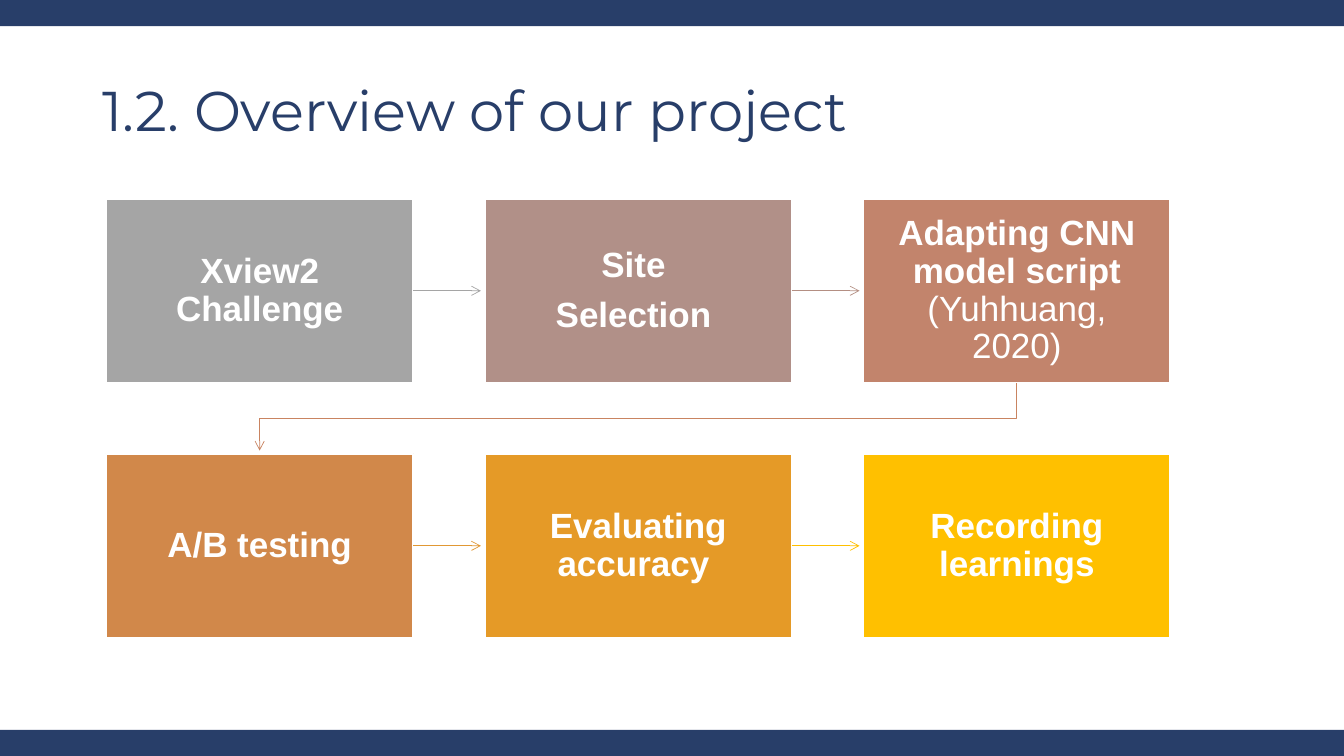
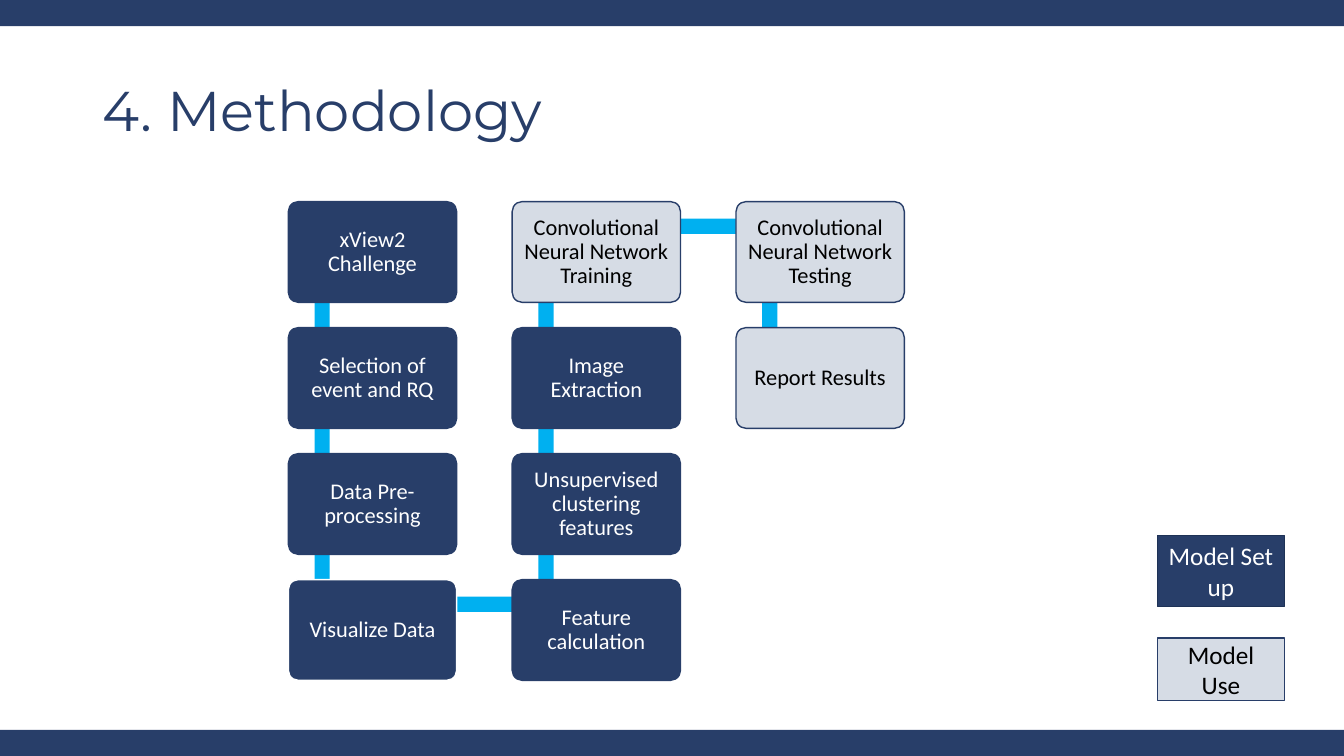
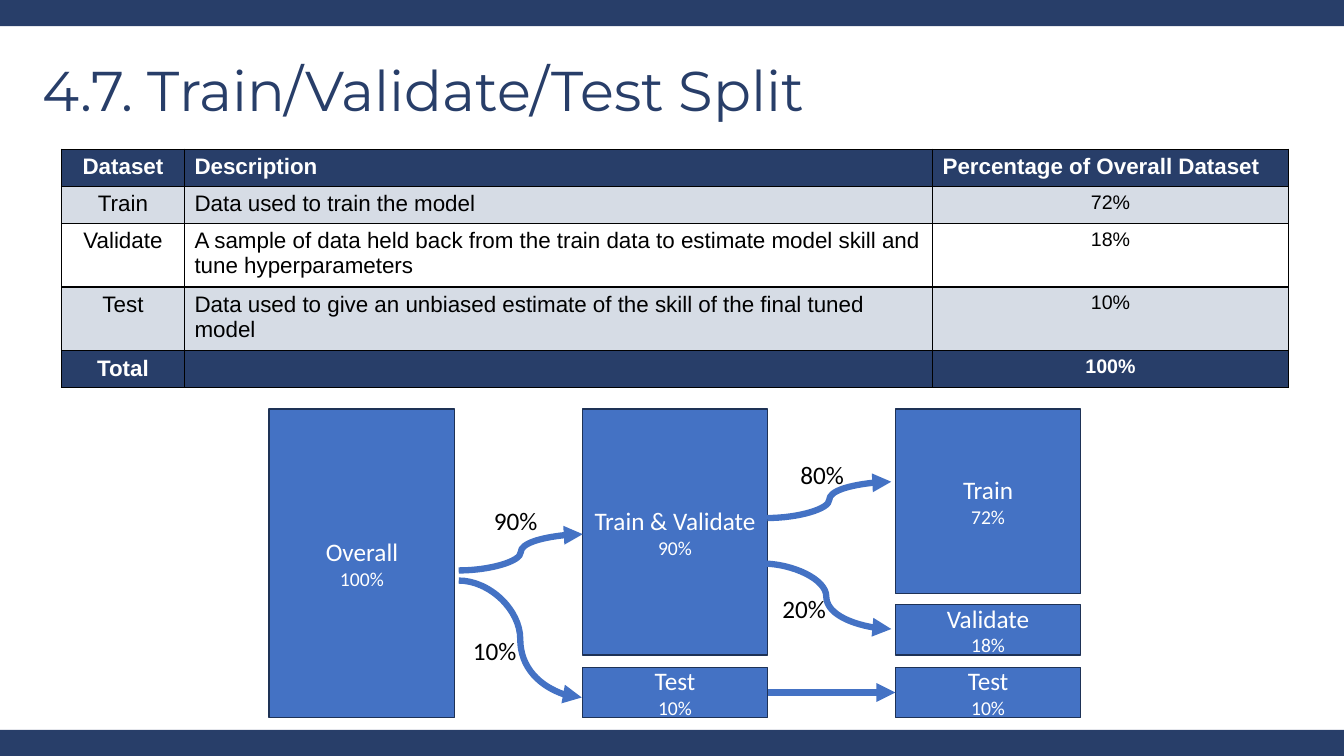
from itertools import pairwise
from lxml.etree import SubElement
from pptx import Presentation
from pptx.dml.color import RGBColor
from pptx.enum.shapes import MSO_CONNECTOR, MSO_SHAPE
from pptx.enum.text import MSO_ANCHOR, PP_ALIGN
from pptx.oxml import parse_xml
from pptx.oxml.ns import nsdecls, qn
from pptx.util import Inches, Pt

HUES = {
    "navy": "283E69", "edge": "1E3256", "pale": "D6DCE5", "sky": "00B0F0",
    "blue": "4472C4", "white": "FFFFFF", "black": "000000",
}
STEPS = ["A5A5A5", "B19088", "C2846C", "D1884A", "E59A27", "FFC000"]
LINKS = ["A5A5A5", "B48F83", "C98461", "E19834", "FFC000"]
WIDE, HIGH, BAND = 13.33, 7.5, 0.26


def tint(name):
    return RGBColor.from_string(HUES.get(name, name))


def write(frame, paras, align=PP_ALIGN.CENTER, space=None, gap=0):
    """Each paragraph is a list of (text, size, font, colour, bold) runs."""
    frame.word_wrap = True
    for i, runs in enumerate(paras):
        para = frame.add_paragraph() if i else frame.paragraphs[0]
        para.alignment = align
        if space:
            para.line_spacing = space
        if i and gap:
            para.space_before = Pt(gap)
        for text, size, font, hue, bold in runs:
            run = para.add_run()
            run.text = text
            run.font.size, run.font.name = Pt(size), font
            run.font.bold = bold
            run.font.color.rgb = tint(hue)


def block(slide, box, fill, line=None, width=1, kind=MSO_SHAPE.RECTANGLE, inset=None):
    shape = slide.shapes.add_shape(kind, *map(Inches, box))
    shape.shadow.inherit = False
    shape.fill.solid()
    shape.fill.fore_color.rgb = tint(fill)
    if line:
        shape.line.color.rgb = tint(line)
        shape.line.width = Pt(width)
    else:
        shape.line.fill.background()
    frame = shape.text_frame
    frame.vertical_anchor = MSO_ANCHOR.MIDDLE
    if inset is not None:
        frame.margin_left = frame.margin_right = Inches(inset)
        frame.margin_top = frame.margin_bottom = Inches(inset)
    return shape


def label(slide, box, runs, **style):
    area = slide.shapes.add_textbox(*map(Inches, box))
    write(area.text_frame, [runs], **style)
    return area


def ink(line, hue, width, head):
    line.color.rgb = tint(hue)
    line.width = Pt(width)
    SubElement(line._get_or_add_ln(), qn("a:tailEnd"), type=head)


def arrow(slide, start, end, hue, width, head, kind=MSO_CONNECTOR.STRAIGHT):
    link = slide.shapes.add_connector(kind, *map(Inches, (*start, *end)))
    SubElement(link._element.spPr, qn("a:effectLst"))
    # The line must come before the effect list
    ink(link.line, hue, width, head)
    return link


def base(deck, title, box):
    slide = deck.slides.add_slide(deck.slide_layouts[6])
    for top in (0, HIGH - BAND):
        block(slide, (0, top, WIDE, BAND), "navy")
    head = label(slide, box, [(title, 40, "Montserrat", "navy", False)],
                 align=PP_ALIGN.LEFT, space=0.9)
    head.text_frame.vertical_anchor = MSO_ANCHOR.MIDDLE
    return slide


# Project flow: two rows of three steps
def flow(slide, x, y, w, h):
    wide, high = 3.05, 1.83
    across, down = (w - wide) / 2, h - high
    texts = [
        [[("Xview2 Challenge", True)]],
        [[("Site ", True)], [("Selection ", True)]],
        [[("Adapting CNN model script ", True), ("(Yuhhuang, 2020)", False)]],
        [[("A/B testing", True)]],
        [[("Evaluating accuracy ", True)]],
        [[("Recording learnings", True)]],
    ]
    boxes = []
    for i, (hue, paras) in enumerate(zip(STEPS, texts)):
        row, col = divmod(i, 3)
        box = block(slide, (x + col * across, y + row * down, wide, high),
                    hue, "white", 1.5, inset=0.19)
        write(box.text_frame,
              [[(text, 25, "Arial", "white", bold) for text, bold in runs]
               for runs in paras], space=0.9, gap=8.75)
        boxes.append(box)

    for i, hue in enumerate(LINKS):
        row, col = divmod(i, 3)
        if col < 2:
            left = x + col * across + wide
            mid = y + row * down + high / 2
            link = arrow(slide, (left, mid), (left + 0.67, mid), hue, 0.5, "arrow")
            link.begin_connect(boxes[i], 3)
        else:
            # Bent arrow from the end of the first row to the second
            first, last = x + wide / 2, x + 2 * across + wide / 2
            top, turn, tip = y + high, y + high + 0.35, y + down - 0.03
            pen = slide.shapes.build_freeform(Inches(last), Inches(top))
            pen.add_line_segments(
                [(Inches(a), Inches(b)) for a, b in
                 ((last, turn), (first, turn), (first, tip))], close=False)
            bend = pen.convert_to_shape()
            bend.shadow.inherit = False
            bend.fill.background()
            ink(bend.line, hue, 0.5, "arrow")


# Winding path: columns of four, up and down in turn
def snake(slide, x, y, w, h):
    wide, high, rows = 1.67, 1, 4
    across, down = (w - wide) / 2, (h - high) / (rows - 1)
    names = [
        "xView2 Challenge", "Selection of event and RQ", "Data Pre-processing",
        "Visualize Data", "Feature calculation",
        "Unsupervised clustering features", "Image Extraction",
        "Convolutional Neural Network Training",
        "Convolutional Neural Network Testing", "Report Results",
    ]
    spots = []
    for i in range(len(names)):
        col, row = divmod(i, rows)
        if col % 2:
            row = rows - 1 - row
        spots.append((x + col * across, y + row * down))

    for (left, top), (right, low) in pairwise(spots):
        if left == right:
            bar = (left + 0.26, min(top, low) + 0.25, 0.15, 1.24)
        else:
            bar = (left + 0.34, top + 0.17, 2.21, 0.15)
        block(slide, bar, "sky")

    for i, (name, spot) in enumerate(zip(names, spots)):
        use = i >= 7
        box = block(slide, (*spot, wide, high), "pale" if use else "navy",
                    "white" if name == "Visualize Data" else "navy",
                    kind=MSO_SHAPE.ROUNDED_RECTANGLE, inset=0.07)
        box.adjustments[0] = 0.1
        hue = "black" if use else "white"
        write(box.text_frame, [[(name, 16, "Calibri", hue, False)]], space=0.9)


def legend(slide, x, y, w):
    for text, top, high, fill, line, hue in (
            ("Model Set up", 0, 0.71, "navy", "edge", "white"),
            ("Model Use", 1.02, 0.62, "pale", "navy", "black")):
        box = block(slide, (x, y + top, w, high), fill, line)
        write(box.text_frame, [[(text, 18, "Calibri", hue, False)]])


# Table of the data sets
def edges(cell):
    props = cell._tc.get_or_add_tcPr()
    for i, side in enumerate("LRTB"):
        props.insert(i, parse_xml(
            f'<a:ln{side} {nsdecls("a")} w="12700"><a:solidFill>'
            f'<a:srgbClr val="{HUES["black"]}"/></a:solidFill></a:ln{side}>'))


def grid(slide, x, y, w, h):
    data = [
        ("Dataset", "Description", "Percentage of Overall Dataset"),
        ("Train", "Data used to train the model", "72%"),
        ("Validate", "A sample of data held back from the train data to "
         "estimate model skill and tune hyperparameters", "18%"),
        ("Test", "Data used to give an unbiased estimate of the skill of "
         "the final tuned model", "10%"),
        ("Total", "", "100%"),
    ]
    table = slide.shapes.add_table(5, 3, *map(Inches, (x, y, w, h))).table
    for col, wide in zip(table.columns, (1.22, 7.42, 3.53)):
        col.width = Inches(wide)
    for row, high in zip(table.rows, (0.35, 0.35, 0.61, 0.61, 0.35)):
        row.height = Inches(high)
    fills = ("navy", "pale", "white", "pale", "navy")
    for r, (texts, fill) in enumerate(zip(data, fills)):
        bold = fill == "navy"
        for c, text in enumerate(texts):
            cell = table.cell(r, c)
            cell.fill.solid()
            cell.fill.fore_color.rgb = tint(fill)
            edges(cell)
            if not text:
                # Keep the row low where the cell is blank
                SubElement(cell.text_frame.paragraphs[0]._p,
                           qn("a:endParaRPr"), sz="1600")
                continue
            mid = c == 0 or (c == 2 and r > 0)
            size = 14 if c == 2 and r else 16
            hue = "white" if bold else "black"
            write(cell.text_frame, [[(text, size, "Arial", hue, bold)]],
                  align=PP_ALIGN.CENTER if mid else PP_ALIGN.LEFT)


# Split of the data into shares
def split(slide, x, y, w, h):
    wide, low = 1.84, 0.5
    across = (w - wide) / 2
    parts = [
        ("Overall", "100%", 0, 0, h),
        ("Train & Validate", "90%", 1, 0, 2.44),
        ("Test", "10%", 1, h - low, low),
        ("Test", "10%", 2, h - low, low),
        ("Train", "72%", 2, 0, 1.83),
        ("Validate", "18%", 2, 1.94, low),
    ]
    boxes = []
    for name, share, col, top, high in parts:
        box = block(slide, (x + col * across, y + top, wide, high), "blue", "edge")
        write(box.text_frame, [[(name, 18, "Calibri", "white", False)],
                               [(share, 14, "Calibri", "white", False)]])
        boxes.append(box)

    curves = [
        ((1.88, 1.6), (3.11, 1.24)), ((1.88, 1.7), (3.1, 2.86)),
        ((4.94, 1.08), (6.17, 0.72)), ((4.88, 1.53), (6.17, 2.18)),
    ]
    for (a, b), (c, d) in curves:
        arrow(slide, (x + a, y + b), (x + c, y + d), "blue", 4.5, "triangle",
              MSO_CONNECTOR.CURVE)
    mid = y + h - low / 2
    link = arrow(slide, (x + across + wide, mid), (x + 2 * across, mid),
                 "blue", 4.5, "triangle")
    link.begin_connect(boxes[2], 3)
    link.end_connect(boxes[3], 1)

    for text, left, top in (("90%", 2.09, 0.9), ("10%", 1.88, 2.19),
                            ("80%", 5.13, 0.45), ("20%", 4.95, 1.78)):
        label(slide, (x + left, y + top, 0.71, 0.4),
              [(text, 18, "Calibri", "black", False)])


def main():
    deck = Presentation()
    deck.slide_width, deck.slide_height = Inches(WIDE), Inches(HIGH)
    head = (0.92, 0.77, 11.5, 0.71)

    slide = base(deck, "1.2. Overview of our project", head)
    flow(slide, 1.05, 1.97, 10.56, 4.36)

    slide = base(deck, "4. Methodology", head)
    snake(slide, 2.86, 2, 6.11, 4.75)
    legend(slide, 11.48, 5.31, 1.26)

    slide = base(deck, "4.7. Train/Validate/Test Split", (0.32, 0.57, 12.7, 0.71))
    grid(slide, 0.61, 1.48, 12.17, 2.37)
    split(slide, 2.67, 4.06, 8.05, 3.06)

    deck.save("out.pptx")


if __name__ == "__main__":
    main()
